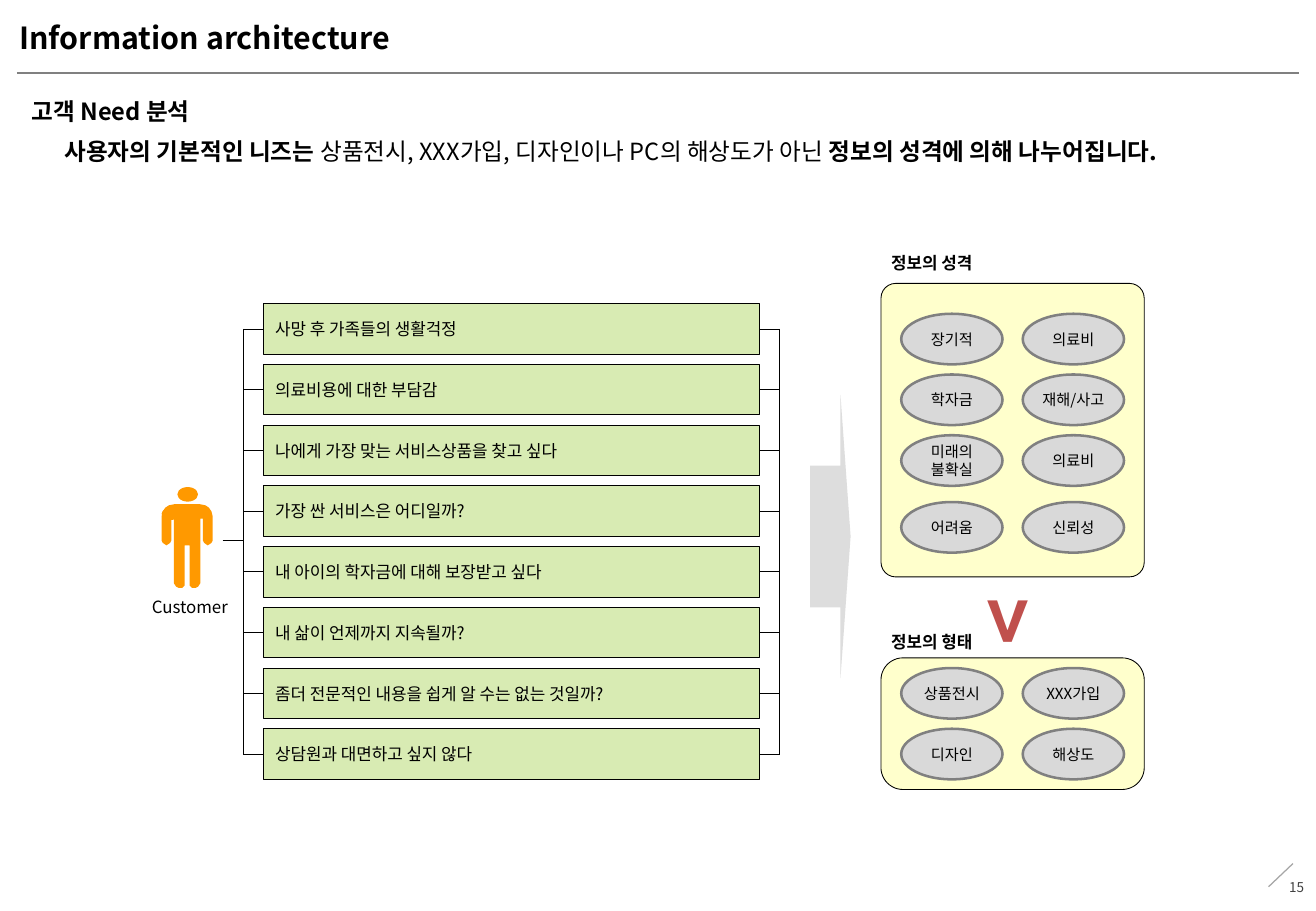
import pptx
import pptx.util
import pptx.dml.color
import pptx.enum.shapes
import pptx.enum.text
import pptx.oxml.ns
from lxml import etree

# ---- Content ----
HEADING = "Information architecture"
SUBHEADING = "고객 Need 분석"
MESSAGE = [("사용자의 기본적인 니즈는 ", True),
           ("상품전시, XXX가입, 디자인이나 PC의 해상도가 아닌 ", False),
           ("정보의 성격에 의해 나누어집니다.", True)]
NEEDS = ["사망 후 가족들의 생활걱정",
         "의료비용에 대한 부담감",
         "나에게 가장 맞는 서비스상품을 찾고 싶다",
         "가장 싼 서비스은 어디일까?",
         "내 아이의 학자금에 대해 보장받고 싶다",
         "내 삶이 언제까지 지속될까?",
         "좀더 전문적인 내용을 쉽게 알 수는 없는 것일까?",
         "상담원과 대면하고 싶지 않다"]
# Panels: label, label row, top row, rows high, corner, ovals by row
PANELS = [("정보의 성격", 12, 14, 14.5, 0.056,
           [(15.5, "장기적", "의료비"), (18.5, "학자금", "재해/사고"),
            (21.5, "미래의\n불확실", "의료비"), (24.8, "어려움", "신뢰성")]),
          ("정보의 형태", 30.7, 32.5, 6.5, 0.167,
           [(33, "상품전시", "XXX가입"), (36, "디자인", "해상도")])]
# Right half of the figure: distance from its axis and height, in inches
HALF_BODY = [(0, 4.15), (0.1, 4.15), (0.15, 4.16), (0.18, 4.18), (0.2, 4.21),
             (0.21, 4.25), (0.21, 4.45), (0.2, 4.47), (0.17, 4.49), (0.14, 4.47),
             (0.13, 4.45), (0.13, 4.27), (0.11, 4.27), (0.11, 4.8), (0.09, 4.83),
             (0.07, 4.84), (0.04, 4.84), (0.02, 4.82), (0.02, 4.49), (0, 4.49)]
BODY_AXIS = 1.54

# ---- Grid: 65 columns by 45 rows ----
FONT = "Noto Sans CJK KR"
BLACK = "000000"
CELL = 1 / 6
NEED_TOP, NEED_LEFT, NEED_WIDTH, NEED_STEP = 15, 13, 24.5, 3
BAR = 2.5
STUB = 1
PANEL_LEFT, PANEL_WIDTH = 43.5, 13
OVAL_LEFT, OVAL_STEP, OVAL_WIDTH = 44.5, 6, 5
SHAPE = pptx.enum.shapes.MSO_SHAPE
ALIGN = pptx.enum.text.PP_ALIGN
ANCHOR = pptx.enum.text.MSO_ANCHOR

deck = pptx.Presentation()
deck.slide_width = pptx.util.Inches(10.83)
deck.slide_height = pptx.util.Inches(7.5)
slide = deck.slides.add_slide(deck.slide_layouts[5])
shapes = slide.shapes


def inches(*values):
    return [pptx.util.Inches(v) for v in values]


def grid(*cells):
    return [c * CELL for c in cells]


def colour(value):
    return pptx.dml.color.RGBColor.from_string(value)


def write(shape, text, size, bold=False, ink=BLACK, align=ALIGN.LEFT,
          anchor=ANCHOR.TOP, inset=(0.1, 0.05, 0.1, 0.05), wrap=True, spacing=1.0):
    """Text is a string, with one paragraph a line, or a list of (text, bold) runs."""
    frame = shape.text_frame
    sides = ("margin_left", "margin_top", "margin_right", "margin_bottom")
    settings = dict(zip(sides, inches(*inset)), word_wrap=wrap, vertical_anchor=anchor)
    for key, value in settings.items():
        setattr(frame, key, value)
    lines = [[(line, bold)] for line in text.split("\n")] if isinstance(text, str) else [text]
    for i, line in enumerate(lines):
        paragraph = frame.add_paragraph() if i else frame.paragraphs[0]
        paragraph.alignment, paragraph.line_spacing = align, spacing
        for words, heavy in line:
            run = paragraph.add_run()
            run.text = words
            for key, value in {"size": pptx.util.Pt(size), "bold": heavy, "name": FONT}.items():
                setattr(run.font, key, value)
            run.font.color.rgb = colour(ink)
            east_asian = etree.SubElement(run.font._element, pptx.oxml.ns.qn("a:ea"))
            east_asian.set("typeface", FONT)


def label(box, text, size, **look):
    area = shapes.add_textbox(*inches(*box))
    write(area, text, size, **look)
    return area


def paint(shape, fill, line=None, width=0.5):
    shape.shadow.inherit = False
    shape.fill.solid()
    shape.fill.fore_color.rgb = colour(fill)
    if line:
        shape.line.color.rgb = colour(line)
        shape.line.width = pptx.util.Pt(width)
    else:
        shape.line.fill.background()
    return shape


def block(kind, box, fill, line=None, width=0.5):
    return paint(shapes.add_shape(kind, *inches(*box)), fill, line, width)


def rule(start, end, ink=BLACK, width=0.5):
    line = shapes.add_connector(pptx.enum.shapes.MSO_CONNECTOR.STRAIGHT, *inches(*start, *end))
    line.line.color.rgb = colour(ink)
    line.line.width = pptx.util.Pt(width)
    etree.SubElement(line._element.spPr, pptx.oxml.ns.qn("a:effectLst"))


# ---- Page frame and headings ----
heading = shapes.title
heading.left, heading.top, heading.width, heading.height = inches(0.16, 0.1, 8.09, 0.42)
write(heading, HEADING, 18, bold=True, inset=(0, 0.06, 0, 0.06))
rule((0.14, 0.6), (10.69, 0.6), "808080", 0.75)
rule((10.64, 7.11), (10.44, 7.3), "A6A6A6", 0.75)
label((10.22, 7.1, 0.61, 0.4), "15", 8, ink="404040", align=ALIGN.RIGHT, anchor=ANCHOR.MIDDLE)
label((0.16, 0.75, 10.54, 0.34), SUBHEADING, 14, bold=True)
label((0.53, 1.08, 10.16, 0.34), MESSAGE, 14, inset=(0, 0.05, 0.1, 0.05))

# ---- Needs, with a bracket on each side ----
need_right = NEED_LEFT + NEED_WIDTH
brackets = [(NEED_LEFT, NEED_LEFT - STUB), (need_right, need_right + STUB)]
middles = [NEED_TOP + i * NEED_STEP + BAR / 2 for i in range(len(NEEDS))]
for need, middle in zip(NEEDS, middles):
    bar = block(SHAPE.RECTANGLE, grid(NEED_LEFT, middle - BAR / 2, NEED_WIDTH, BAR), "D8EBB3", BLACK)
    write(bar, need, 10, anchor=ANCHOR.MIDDLE, wrap=False)
    for edge, spine in brackets:
        rule(grid(edge, middle), grid(spine, middle))
for _, spine in brackets:
    rule(grid(spine, middles[0]), grid(spine, middles[-1]))

# ---- Customer ----
outline = HALF_BODY + [(-x, y) for x, y in reversed(HALF_BODY)]
points = [((BODY_AXIS + x) * 1000, y * 1000) for x, y in outline]
body = shapes.build_freeform(*points[0], scale=914.4)
body.add_line_segments(points[1:], close=True)
paint(body.convert_to_shape(), "FF9900")
for part in [(1.46, 4.01, 0.17, 0.12), (1.33, 4.18, 0.17, 0.1)]:
    block(SHAPE.OVAL, part, "FF9900")
rule(grid(11, 26.7), grid(12, 26.7))
label(grid(7.5, 29, 4, 1.75), "Customer", 10, inset=(0, 0.05, 0, 0.05), spacing=1.2)

# ---- Arrow to the information panels ----
arrow = block(SHAPE.RIGHT_ARROW, grid(40, 19.5, 2, 14), "DDDDDD")
arrow.adjustments[0], arrow.adjustments[1] = 0.5, 0.25

for name, name_row, top, rows, corner, ovals in PANELS:
    panel = block(SHAPE.ROUNDED_RECTANGLE, grid(PANEL_LEFT, top, PANEL_WIDTH, rows), "FFFFCC", BLACK)
    panel.adjustments[0] = corner
    label(grid(44, name_row, 6, 1.75), name, 10, bold=True, inset=(0, 0.05, 0, 0.05), spacing=1.2)
    for row, *words in ovals:
        for column, word in enumerate(words):
            box = grid(OVAL_LEFT + column * OVAL_STEP, row, OVAL_WIDTH, BAR)
            oval = block(SHAPE.OVAL, box, "D9D9D9", "808080", 1.5)
            write(oval, word, 9, align=ALIGN.CENTER, anchor=ANCHOR.MIDDLE, wrap=False)

# ---- Comparison sign between the panels ----
sign = label((8, 4.67, 0.57, 0.91), "<", 48, bold=True, ink="C0504D", wrap=False)
sign.rotation = 270

deck.save("out.pptx")
